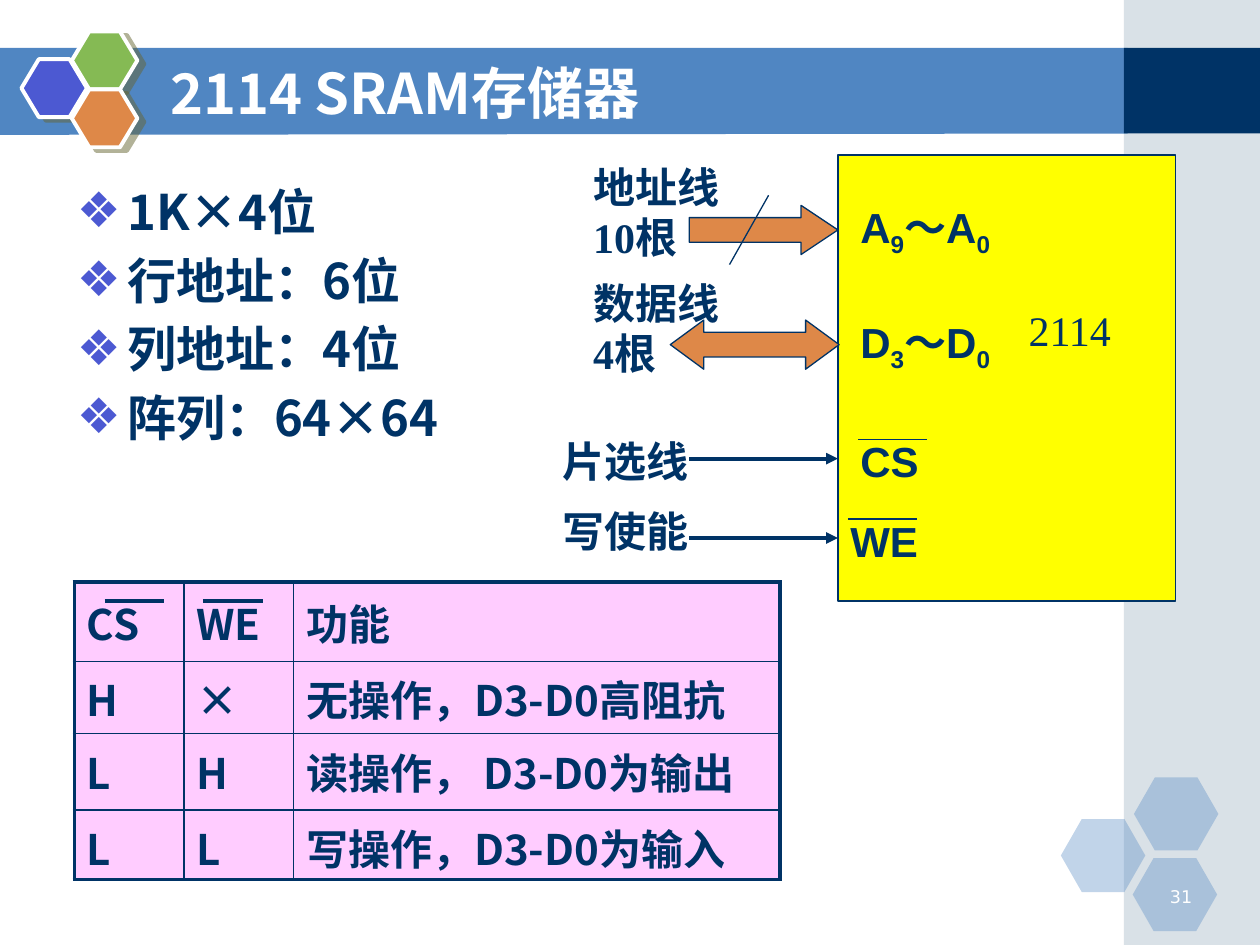
from dataclasses import dataclass

from lxml import etree
from pptx import Presentation
from pptx.dml.color import RGBColor
from pptx.enum.shapes import MSO_CONNECTOR, MSO_SHAPE
from pptx.enum.text import MSO_ANCHOR, MSO_AUTO_SIZE, PP_ALIGN
from pptx.oxml.ns import qn
from pptx.util import Inches, Pt

RECTANGLE = MSO_SHAPE.RECTANGLE
HEXAGON = MSO_SHAPE.HEXAGON
RIGHT_ARROW = MSO_SHAPE.RIGHT_ARROW
LEFT_RIGHT_ARROW = MSO_SHAPE.LEFT_RIGHT_ARROW
STRAIGHT = MSO_CONNECTOR.STRAIGHT
LEFT, CENTER, RIGHT = PP_ALIGN.LEFT, PP_ALIGN.CENTER, PP_ALIGN.RIGHT
TOP, MIDDLE = MSO_ANCHOR.TOP, MSO_ANCHOR.MIDDLE
FIXED_SIZE = MSO_AUTO_SIZE.NONE

NAVY, BLUE, WHITE = "003366", "5086C2", "FFFFFF"
VIOLET, GREEN, ORANGE = "4C59D2", "85BA54", "DE8848"
YELLOW, PINK, GREY_BLUE, SHADOW = "FFFF00", "FFCCFF", "A0B5C4", "666633"
SANS, SERIF, ARIAL, NUMBER_FONT = "Noto Sans CJK SC", "Times New Roman", "Arial", "DejaVu Sans"


@dataclass
class Block:
    kind: int
    left: float
    top: float
    width: float
    height: float
    fill: str
    line: str = ""
    line_width: float = 0.75
    opacity: int = 100
    adjustments: tuple = ()
    shadow: bool = False


@dataclass
class Label:
    text: str
    left: float
    top: float
    width: float
    height: float
    font: str = SERIF
    size: float = 24
    colour: str = NAVY
    bold: bool = True
    align: int = LEFT


@dataclass
class Line:
    start: tuple
    end: tuple
    width: float = 0.75
    arrow: bool = False


BACKDROP = [
    Block(RECTANGLE, 8.92, 0, 1.08, 7.5, GREY_BLUE, opacity=40),
    Block(RECTANGLE, 8.92, 0.38, 1.08, 0.68, NAVY),
    *[Block(HEXAGON, left, top, 0.67, 0.58, BLUE, opacity=35, adjustments=(0.286,))
      for left, top in ((8.42, 6.5), (9, 6.17), (8.99, 6.81))],
    *[Block(HEXAGON, left, top, 0.52, 0.46, fill, WHITE, 2.25, adjustments=(0.3,), shadow=True)
      for left, top, fill in ((0.17, 0.47, VIOLET), (0.57, 0.25, GREEN), (0.57, 0.71, ORANGE))],
]
BUSES = [
    Block(RIGHT_ARROW, 5.47, 1.63, 1.18, 0.39, ORANGE, NAVY, adjustments=(0.5, 0.749)),
    Block(LEFT_RIGHT_ARROW, 5.32, 2.54, 1.34, 0.39, ORANGE, NAVY, adjustments=(0.5, 0.682)),
]
LABELS = [
    Label("31", 9.06, 6.98, 0.5, 0.25, NUMBER_FONT, 10, WHITE, False, RIGHT),
    Label("地址线10根", 4.61, 1.23, 1.26, 0.9),
    Label("数据线4根", 4.61, 2.15, 1.26, 0.9),
    Label("片选线", 4.37, 3.41, 1.34, 0.5),
    Label("写使能", 4.37, 3.96, 1.34, 0.5),
    Label("A_9～A_0", 6.73, 1.55, 1.5, 0.5, ARIAL),
    Label("D_3～D_0", 6.73, 2.46, 1.5, 0.5, ARIAL),
    Label("CS", 6.73, 3.41, 0.79, 0.5, ARIAL),
    Label("WE", 6.65, 4.04, 0.87, 0.5, ARIAL),
]
LINES = [
    Line((6.1, 1.55), (5.79, 2.1)),
    Line((6.81, 3.49), (7.36, 3.49)),
    Line((6.73, 4.12), (7.28, 4.12)),
    Line((5.47, 3.64), (6.65, 3.64), 2.25, True),
    Line((5.47, 4.27), (6.65, 4.27), 2.25, True),
    Line((0.83, 4.77), (1.3, 4.77), 2.25),
    Line((1.61, 4.77), (2.09, 4.77), 2.25),
]
COLUMNS = (0.87, 0.87, 3.86)
ROWS = (0.63, 0.57, 0.61, 0.55)
TRUTH_TABLE = [
    ("CS", "WE", "功能"),
    ("H", "×", "无操作，D3-D0高阻抗"),
    ("L", "H", "读操作， D3-D0为输出"),
    ("L", "L", "写操作，D3-D0为输入"),
]


def colour_of(value: str) -> RGBColor:
    return RGBColor.from_string(value)


def add_xml(parent, tag: str, **attributes):
    return etree.SubElement(parent, qn(tag), {key: str(value) for key, value in attributes.items()})


def write_text(frame, text: str, *, font: str = SANS, size: float = 24, colour: str = NAVY,
               bold: bool = True, align: int = LEFT, anchor: int = TOP, before: float = 0) -> None:
    frame.word_wrap = True
    frame.vertical_anchor = anchor
    for index, content in enumerate(text.split("\n")):
        paragraph = frame.add_paragraph() if index else frame.paragraphs[0]
        paragraph.alignment = align
        paragraph.space_before = Pt(before)
        first, *marked = content.split("_")
        pieces = [(first, False)]
        for part in marked:
            pieces += [(part[0], True), (part[1:], False)]
        for piece, subscript in pieces:
            if not piece:
                continue
            run = paragraph.add_run()
            run.text = piece
            run.font.name, run.font.size, run.font.bold = font, Pt(size), bold
            run.font.color.rgb = colour_of(colour)
            properties = run._r.get_or_add_rPr()
            add_xml(properties, "a:ea", typeface=SANS)
            if subscript:
                properties.set("baseline", "-25000")


def style_shape(shape, block: Block) -> None:
    shape.shadow.inherit = False
    shape.fill.solid()
    shape.fill.fore_color.rgb = colour_of(block.fill)
    if block.opacity < 100:
        fill_colour = shape.element.spPr.find(qn("a:solidFill"))[0]
        add_xml(fill_colour, "a:alpha", val=block.opacity * 1000)
    if block.line:
        shape.line.color.rgb = colour_of(block.line)
        shape.line.width = Pt(block.line_width)
    else:
        shape.line.fill.background()
    if block.shadow:
        effects = shape.element.spPr.find(qn("a:effectLst"))
        outer = add_xml(effects, "a:outerShdw", dist=Pt(4.5), dir=27 * 60000, algn="ctr", rotWithShape=0)
        add_xml(add_xml(outer, "a:srgbClr", val=SHADOW), "a:alpha", val=50000)


def add_block(slide, block: Block):
    shape = slide.shapes.add_shape(block.kind, Inches(block.left), Inches(block.top),
                                   Inches(block.width), Inches(block.height))
    for index, value in enumerate(block.adjustments):
        shape.adjustments[index] = value
    style_shape(shape, block)
    return shape


def add_label(slide, label: Label) -> None:
    box = slide.shapes.add_textbox(Inches(label.left), Inches(label.top),
                                   Inches(label.width), Inches(label.height))
    write_text(box.text_frame, label.text, font=label.font, size=label.size, colour=label.colour,
               bold=label.bold, align=label.align)


def add_line(slide, line: Line) -> None:
    connector = slide.shapes.add_connector(STRAIGHT, *map(Inches, line.start + line.end))
    connector.line.color.rgb = colour_of(NAVY)
    connector.line.width = Pt(line.width)
    if line.arrow:
        add_xml(connector.line._get_or_add_ln(), "a:tailEnd", type="triangle")
    add_xml(connector.element.spPr, "a:effectLst")


def add_band(slide) -> None:
    builder = slide.shapes.build_freeform(Inches(-0.01), Inches(0.38))
    builder.add_line_segments([(Inches(x), Inches(y)) for x, y in ((8.95, 0.38), (8.95, 1.06), (-0.01, 1.07))])
    style_shape(builder.convert_to_shape(), Block(RECTANGLE, -0.01, 0.38, 8.96, 0.69, BLUE))


def place_placeholder(slide, index: int, left: float, top: float, width: float, height: float):
    placeholder = slide.placeholders[index]
    placeholder.left, placeholder.top = Inches(left), Inches(top)
    placeholder.width, placeholder.height = Inches(width), Inches(height)
    placeholder.text_frame.auto_size = FIXED_SIZE
    slide.shapes.element.append(placeholder.element)
    return placeholder.text_frame


def add_bullets(frame) -> None:
    for paragraph in frame.paragraphs:
        properties = paragraph._p.get_or_add_pPr()
        properties.set("marL", str(Inches(0.4)))
        properties.set("indent", str(Inches(-0.4)))
        add_xml(add_xml(properties, "a:buClr"), "a:srgbClr", val=VIOLET)
        add_xml(properties, "a:buChar", char="❖")


def add_truth_table(slide) -> None:
    table = slide.shapes.add_table(len(ROWS), len(COLUMNS), Inches(0.59), Inches(4.62),
                                   Inches(sum(COLUMNS)), Inches(sum(ROWS))).table
    table.first_row = table.horz_banding = False
    for column, width in zip(table.columns, COLUMNS):
        column.width = Inches(width)
    for row_index, (row, height) in enumerate(zip(table.rows, ROWS)):
        row.height = Inches(height)
        for column_index, cell in enumerate(row.cells):
            outer_edges = {"L": column_index == 0, "R": column_index == len(COLUMNS) - 1,
                           "T": row_index == 0, "B": row_index == len(ROWS) - 1}
            write_text(cell.text_frame, TRUTH_TABLE[row_index][column_index], before=4.8)
            cell.vertical_anchor = MIDDLE
            properties = cell._tc.get_or_add_tcPr()
            for side, outer in outer_edges.items():
                border = add_xml(properties, f"a:ln{side}", w=Pt(2.25 if outer else 1))
                add_xml(add_xml(border, "a:solidFill"), "a:srgbClr", val=NAVY)
            cell.fill.solid()
            cell.fill.fore_color.rgb = colour_of(PINK)


def main() -> None:
    presentation = Presentation()
    presentation.slide_width, presentation.slide_height = Inches(10), Inches(7.5)
    slide = presentation.slides.add_slide(presentation.slide_layouts[1])
    add_band(slide)
    for block in BACKDROP:
        add_block(slide, block)
    title = place_placeholder(slide, 0, 1.25, 0.42, 7.33, 0.62)
    write_text(title, "2114 SRAM存储器", size=32, colour=WHITE, anchor=MIDDLE)
    body = place_placeholder(slide, 1, 0.51, 1.39, 3.15, 3.62)
    write_text(body, "1K×4位\n行地址：6位\n列地址：4位\n阵列：64×64", size=28, before=5.6)
    add_bullets(body)
    chip = add_block(slide, Block(RECTANGLE, 6.65, 1.23, 2.68, 3.54, YELLOW, NAVY)).text_frame
    write_text(chip, "2114", font=SERIF, bold=False, align=CENTER, anchor=MIDDLE)
    chip.margin_left, chip.margin_right = Inches(1), 0
    chip.margin_top, chip.margin_bottom = 0, Inches(0.76)
    for label in LABELS:
        add_label(slide, label)
    for bus in BUSES:
        add_block(slide, bus)
    add_truth_table(slide)
    for line in LINES:
        add_line(slide, line)
    presentation.save("out.pptx")


if __name__ == "__main__":
    main()
